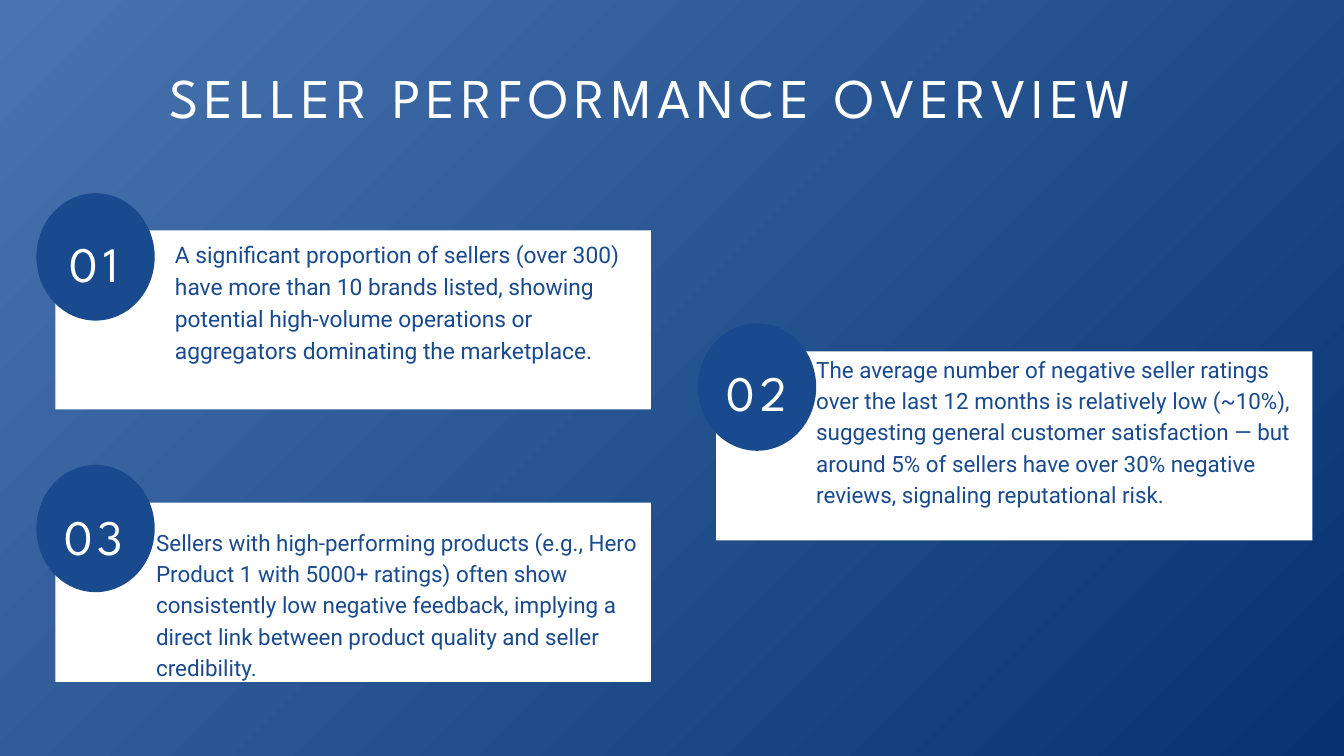
"""Build the seller performance slide with three numbered cards."""
from typing import NamedTuple

from lxml import etree
from pptx import Presentation
from pptx.dml.color import RGBColor
from pptx.enum.shapes import MSO_SHAPE
from pptx.enum.text import MSO_ANCHOR, MSO_AUTO_SIZE, PP_ALIGN
from pptx.oxml.ns import qn
from pptx.shapes.autoshape import Shape
from pptx.slide import Slide
from pptx.util import Emu, Pt

RECT, OVAL = MSO_SHAPE.RECTANGLE, MSO_SHAPE.OVAL
LEFT, CENTER = PP_ALIGN.LEFT, PP_ALIGN.CENTER
TOP, FIXED = MSO_ANCHOR.TOP, MSO_AUTO_SIZE.NONE

WHITE = RGBColor(0xFF, 0xFF, 0xFF)
BLUE = RGBColor(0x19, 0x4A, 0x8D)
LIGHT = RGBColor(0x48, 0x74, 0xB0)
DARK = RGBColor(0x05, 0x33, 0x71)

PX = 9525
TITLE_ONLY = 5


class Box(NamedTuple):
    """Left, top, width and height in px."""
    left: int
    top: int
    width: int
    height: int

    def emu(self) -> list[Emu]:
        """Return the four lengths in EMU."""
        return [Emu(side * PX) for side in self]


class Style(NamedTuple):
    """Look of a text; sizes and spacing in points."""
    font: str
    size: float
    line: float
    color: RGBColor
    align: PP_ALIGN
    track: float = 0


class Card(NamedTuple):
    """A panel with its badge, number and body text."""
    number: str
    panel: Box
    badge: Box
    label: Box
    body: Box
    style: Style
    text: str


HEAD = Style("League Spartan", 60, 63.6, WHITE, CENTER, 6)
COUNT = Style("League Spartan", 53.1, 56.3, WHITE, CENTER, 5.3)
BODY = Style("Roboto", 24, 33.6, BLUE, LEFT)
LARGE = BODY._replace(size=24.4, line=34.2)

CARDS = [
    Card("01", Box(79, 329, 851, 256), Box(52, 276, 169, 182),
         Box(52, 342, 164, 78), Box(250, 338, 637, 180), LARGE,
         "A significant proportion of sellers (over 300) have more than 10 "
         "brands listed, showing potential high-volume operations or "
         "aggregators dominating the marketplace."),
    Card("02", Box(1023, 502, 852, 270), Box(997, 462, 169, 182),
         Box(999, 527, 164, 78), Box(1166, 502, 677, 264), BODY,
         "The average number of negative seller ratings over the last 12 "
         "months is relatively low (~10%), suggesting general customer "
         "satisfaction — but around 5% of sellers have over 30% negative "
         "reviews, signaling reputational risk."),
    Card("03", Box(79, 718, 851, 256), Box(52, 664, 169, 182),
         Box(52, 732, 164, 78), Box(223, 749, 692, 264), BODY,
         "Sellers with high-performing products (e.g., Hero Product 1 with "
         "5000+ ratings) often show consistently low negative feedback, "
         "implying a direct link between product quality and seller "
         "credibility."),
]


def paint_back(slide: Slide) -> None:
    """Fill the background with a gradient from the top left corner."""
    fill = slide.background.fill
    fill.gradient()
    for stop, color, place in zip(fill.gradient_stops, (LIGHT, DARK), (0, 1)):
        stop.color.rgb = color
        stop.position = place
    lin = next(slide.background._cSld.iter(qn("a:lin")))
    way = etree.Element(qn("a:path"), {"path": "circle"})
    etree.SubElement(way, qn("a:fillToRect"),
                     {"l": "0", "t": "0", "r": "100000", "b": "100000"})
    lin.getparent().replace(lin, way)


def set_text(shape: Shape, text: str, style: Style) -> None:
    """Write one paragraph into a shape and format it."""
    frame = shape.text_frame
    frame.text = text
    frame.word_wrap = True
    frame.auto_size = FIXED
    frame.vertical_anchor = TOP
    frame.margin_left = frame.margin_right = 0
    frame.margin_top = frame.margin_bottom = 0
    para = frame.paragraphs[0]
    para.alignment = style.align
    para.line_spacing = Pt(style.line)
    run = para.runs[0]
    run.font.name = style.font
    run.font.size = Pt(style.size)
    run.font.color.rgb = style.color
    if style.track:
        run._r.get_or_add_rPr().set("spc", str(round(style.track * 100)))


def add_text(slide: Slide, box: Box, text: str, style: Style) -> None:
    """Add a text box."""
    set_text(slide.shapes.add_textbox(*box.emu()), text, style)


def add_form(slide: Slide, kind: MSO_SHAPE, box: Box, color: RGBColor) -> None:
    """Add a plain filled shape."""
    form = slide.shapes.add_shape(kind, *box.emu())
    form.shadow.inherit = False
    form.fill.solid()
    form.fill.fore_color.rgb = color
    form.line.fill.background()


def add_title(slide: Slide, box: Box, text: str) -> None:
    """Move and fill the title placeholder."""
    title = slide.shapes.title
    title.left, title.top, title.width, title.height = box.emu()
    set_text(title, text, HEAD)


def add_card(slide: Slide, card: Card) -> None:
    """Draw one numbered card."""
    add_form(slide, RECT, card.panel, WHITE)
    add_form(slide, OVAL, card.badge, BLUE)
    add_text(slide, card.label, card.number, COUNT)
    add_text(slide, card.body, card.text, card.style)


def main() -> None:
    """Build and save the slide."""
    deck = Presentation()
    deck.slide_width, deck.slide_height = Emu(1920 * PX), Emu(1080 * PX)
    slide = deck.slides.add_slide(deck.slide_layouts[TITLE_ONLY])
    paint_back(slide)
    add_title(slide, Box(217, 101, 1426, 171), "SELLER PERFORMANCE OVERVIEW")
    for card in CARDS:
        add_card(slide, card)
    deck.save("out.pptx")


if __name__ == "__main__":
    main()
